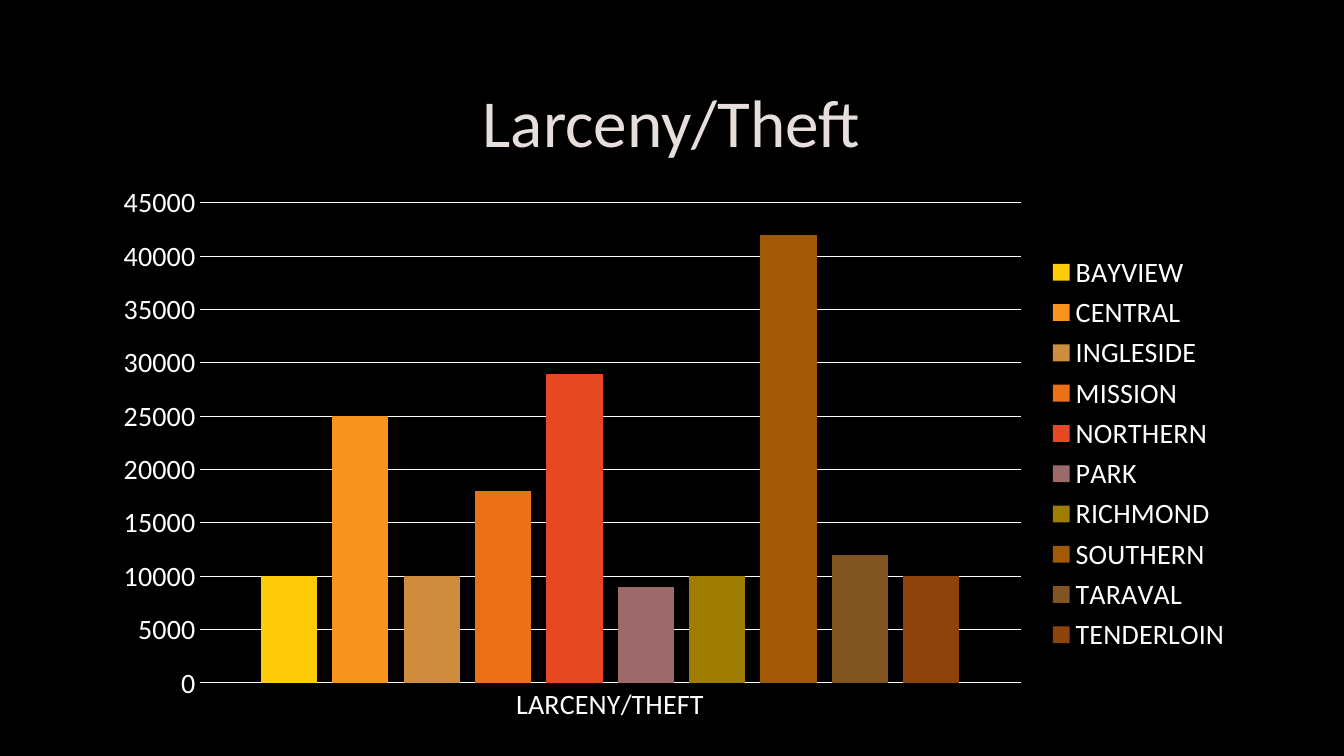
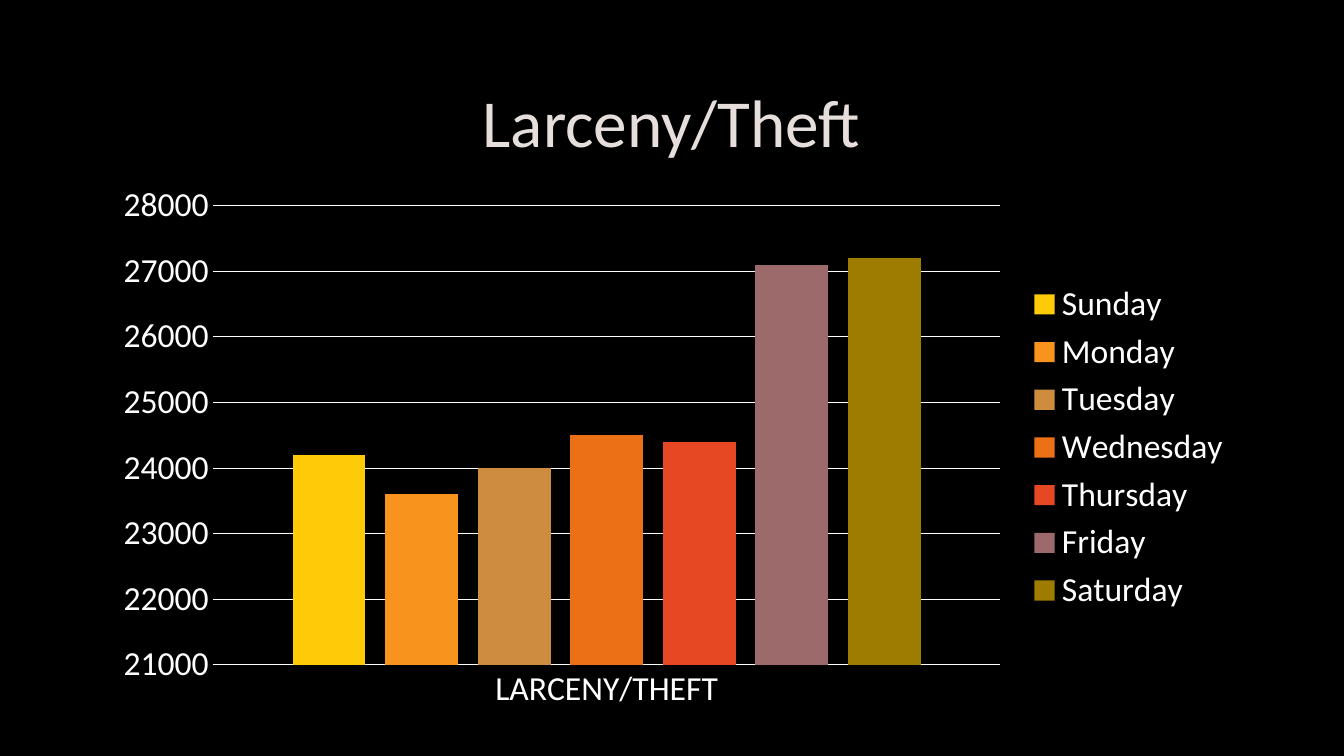
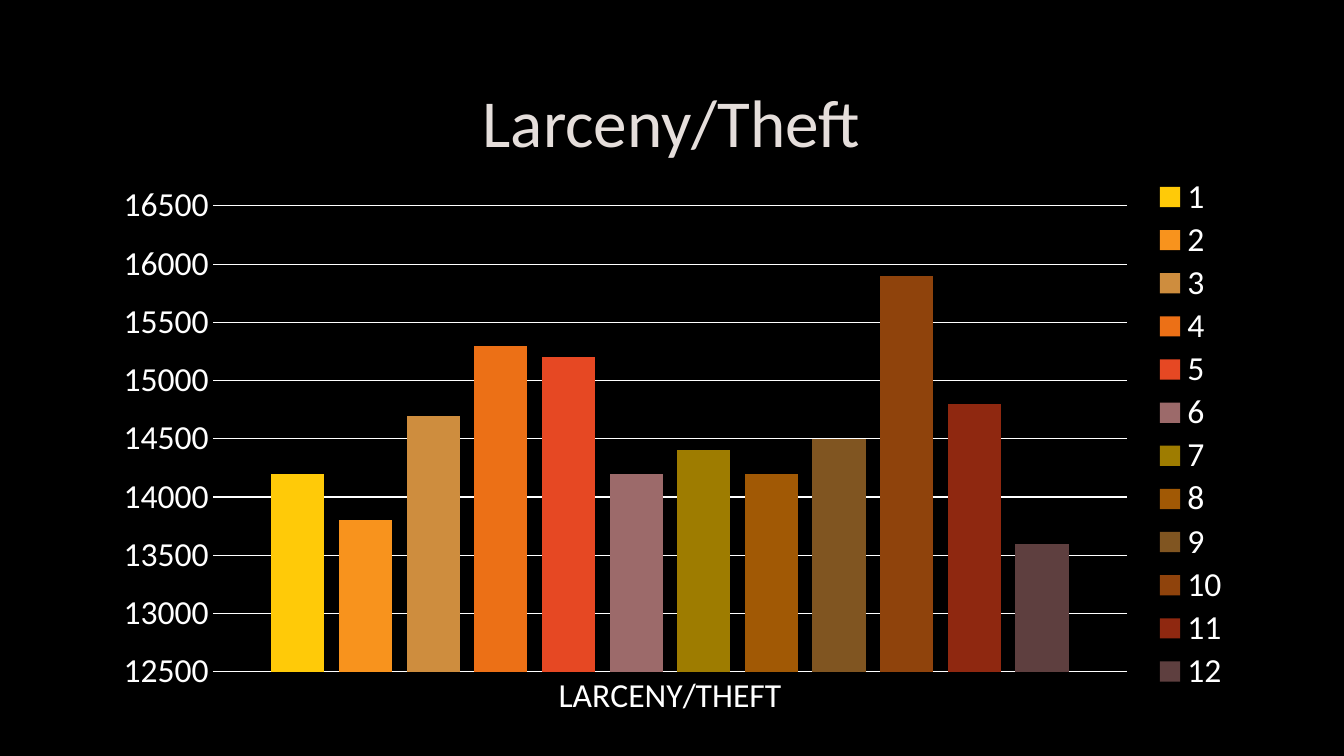
from lxml import etree
from pptx import Presentation
from pptx.chart.data import CategoryChartData
from pptx.dml.color import RGBColor
from pptx.enum.chart import XL_CHART_TYPE, XL_LEGEND_POSITION, XL_TICK_MARK
from pptx.enum.text import MSO_ANCHOR, PP_ALIGN
from pptx.util import Inches, Pt

COLUMN = XL_CHART_TYPE.COLUMN_CLUSTERED
RIGHT = XL_LEGEND_POSITION.RIGHT
NONE = XL_TICK_MARK.NONE
MIDDLE = MSO_ANCHOR.MIDDLE
CENTER = PP_ALIGN.CENTER

FONT = "Calibri"
BLACK, WHITE, CREAM = "000000", "FFFFFF", "E5DEDB"
HUES = ["FFCA08", "F8931D", "CE8D3E", "EC7016", "E64823", "9C6A6A",
        "9E7C00", "A15905", "805521", "8F430C", "8F2810", "5E3F3F"]
LEFT, WIDTH = 1, 11.32
TITLE_TOP, CHART_TOP = 0.67, 1.73
OUTLINE = (
    '<a:ln xmlns:a="http://schemas.openxmlformats.org/drawingml/2006/main" w="9525">'
    '<a:solidFill><a:srgbClr val="404040"><a:alpha val="10000"/></a:srgbClr></a:solidFill>'
    '<a:prstDash val="solid"/></a:ln>'
)
LAYOUT = (
    '<c:layout xmlns:c="http://schemas.openxmlformats.org/drawingml/2006/chart">'
    '<c:manualLayout><c:xMode val="edge"/><c:yMode val="edge"/>'
    '<c:x val="{}"/><c:y val="{}"/><c:w val="{}"/><c:h val="{}"/>'
    '</c:manualLayout></c:layout>'
)

AREAS = {
    "BAYVIEW": 10000, "CENTRAL": 25000, "INGLESIDE": 10000, "MISSION": 18000,
    "NORTHERN": 29000, "PARK": 9000, "RICHMOND": 10000, "SOUTHERN": 42000,
    "TARAVAL": 12000, "TENDERLOIN": 10000,
}
DAYS = {
    "Sunday": 24200, "Monday": 23600, "Tuesday": 24000, "Wednesday": 24500,
    "Thursday": 24400, "Friday": 27100, "Saturday": 27200,
}
MONTHS = {
    "1": 14200, "2": 13800, "3": 14700, "4": 15300, "5": 15200, "6": 14200,
    "7": 14400, "8": 14200, "9": 14500, "10": 15900, "11": 14800, "12": 13600,
}
CHARTS = [
    (AREAS, 5.54, 20, (0, 45000, 5000), None),
    (DAYS, 5.42, 24, (21000, 28000, 1000), None),
    (MONTHS, 5.49, 24, (12500, 16500, 500), (0.92, 0, 0.07, 0.94)),
]


def paint(fill, hue):
    fill.solid()
    fill.fore_color.rgb = RGBColor.from_string(hue)


def style(font, size, hue):
    font.name = FONT
    font.size = Pt(size)
    font.bold = False
    paint(font.fill, hue)


def rule(line):
    paint(line.fill, WHITE)
    line.width = Pt(0.75)


def add_title(slide, text):
    box = slide.shapes.add_textbox(
        Inches(LEFT), Inches(TITLE_TOP), Inches(WIDTH), Inches(CHART_TOP - TITLE_TOP))
    frame = box.text_frame
    frame.word_wrap = True
    frame.vertical_anchor = MIDDLE
    frame.text = text
    para = frame.paragraphs[0]
    para.alignment = CENTER
    font = para.runs[0].font
    style(font, 48, CREAM)
    para.runs[0]._r.get_or_add_rPr().insert(0, etree.fromstring(OUTLINE))


def set_axes(chart, scale):
    base = chart.category_axis
    base.major_tick_mark = base.minor_tick_mark = NONE
    base.has_major_gridlines = False
    rule(base.format.line)
    side = chart.value_axis
    side.major_tick_mark = side.minor_tick_mark = NONE
    side.minimum_scale, side.maximum_scale, side.major_unit = scale
    side.format.line.fill.background()
    side.has_major_gridlines = True
    rule(side.major_gridlines.format.line)


def set_key(chart, place):
    chart.has_legend = True
    key = chart.legend
    key.position = RIGHT
    key.include_in_layout = False
    if place:
        root = key._element
        for old in root.findall("{*}layout"):
            root.remove(old)
        root.find("{*}legendPos").addnext(etree.fromstring(LAYOUT.format(*place)))


def add_bars(slide, counts, height, size, scale, place):
    data = CategoryChartData()
    data.categories = ["LARCENY/THEFT"]
    for name, count in counts.items():
        data.add_series(name, [count])
    chart = slide.shapes.add_chart(
        COLUMN, Inches(LEFT), Inches(CHART_TOP), Inches(WIDTH), Inches(height), data).chart
    chart.has_title = False
    style(chart.font, size, WHITE)
    set_key(chart, place)
    set_axes(chart, scale)
    for part in (chart.category_axis.tick_labels, chart.value_axis.tick_labels, chart.legend):
        style(part.font, size, WHITE)
    plot = chart.plots[0]
    plot.gap_width = 219
    plot.overlap = -27
    plot.vary_by_categories = False
    for bar, hue in zip(plot.series, HUES):
        paint(bar.format.fill, hue)


def main():
    deck = Presentation()
    deck.slide_width = Inches(13.33)
    deck.slide_height = Inches(7.5)
    paint(deck.slide_master.background.fill, BLACK)
    for counts, height, size, scale, place in CHARTS:
        slide = deck.slides.add_slide(deck.slide_layouts[6])
        add_title(slide, "Larceny/Theft")
        add_bars(slide, counts, height, size, scale, place)
    deck.save("out.pptx")


if __name__ == "__main__":
    main()
